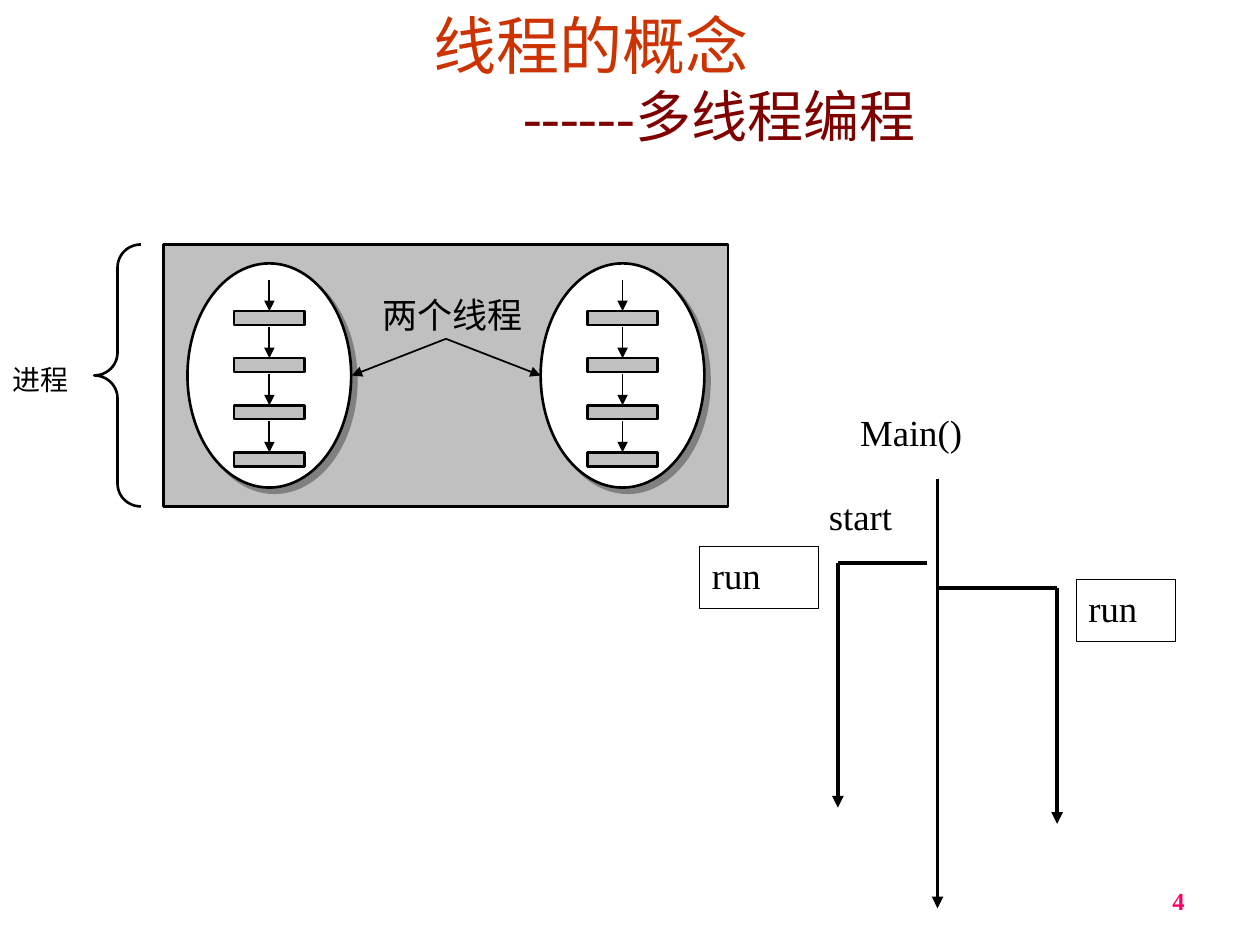
from lxml import etree
from pptx import Presentation
from pptx.dml.color import RGBColor
from pptx.enum.shapes import MSO_CONNECTOR, MSO_SHAPE
from pptx.enum.text import MSO_ANCHOR, MSO_AUTO_SIZE, PP_ALIGN
from pptx.oxml import parse_xml
from pptx.oxml.ns import qn
from pptx.util import Cm, Pt

RECT, OVAL, BRACE = MSO_SHAPE.RECTANGLE, MSO_SHAPE.OVAL, MSO_SHAPE.LEFT_BRACE
LEFT, MID, RIGHT = PP_ALIGN.LEFT, PP_ALIGN.CENTER, PP_ALIGN.RIGHT
JUST = PP_ALIGN.JUSTIFY
FONT = "Times New Roman"
HUES = {"ink": "000000", "gray": "C0C0C0", "white": "FFFFFF", "shade": "808080",
        "title": "CC3300", "sub": "800000", "page": "FF0066"}
SHADOW = (
    '<a:outerShdw xmlns:a="http://schemas.openxmlformats.org/drawingml/2006/main"'
    ' dist="53340" dir="2700000" algn="ctr" rotWithShape="0">'
    f'<a:srgbClr val="{HUES["shade"]}"/></a:outerShdw>')

deck = Presentation()
deck.slide_width, deck.slide_height = Cm(25.4), Cm(19.05)
slide = deck.slides.add_slide(deck.slide_layouts[5])
shapes = slide.shapes


def draw(kind, box, fill, width):
    shape = shapes.add_shape(kind, *[Cm(v) for v in box])
    shape.shadow.inherit = False
    if fill:
        shape.fill.solid()
        shape.fill.fore_color.rgb = RGBColor.from_string(HUES[fill])
    else:
        shape.fill.background()
    shape.line.color.rgb = RGBColor.from_string(HUES["ink"])
    shape.line.width = Pt(width)
    return shape


def link(x1, y1, x2, y2, width, arrow=True):
    line = shapes.add_connector(
        MSO_CONNECTOR.STRAIGHT, Cm(x1), Cm(y1), Cm(x2), Cm(y2))
    line.line.color.rgb = RGBColor.from_string(HUES["ink"])
    line.line.width = Pt(width)
    if arrow:
        etree.SubElement(line.line._get_or_add_ln(), qn("a:tailEnd"), type="triangle")
    etree.SubElement(line._element.spPr, qn("a:effectLst"))


# Title with an indented second line
title = shapes.title
title.left, title.top, title.width, title.height = Cm(3.51), Cm(0), Cm(16.79), Cm(3.25)
frame = title.text_frame
frame.text = "线程的概念\n------多线程编程"
frame.auto_size = MSO_AUTO_SIZE.NONE
frame.vertical_anchor = MSO_ANCHOR.TOP
looks = [(MID, 36, "title"), (LEFT, 32, "sub")]
for para, (align, size, hue) in zip(frame.paragraphs, looks):
    para.alignment = align
    font = para.runs[0].font
    font.name, font.size = FONT, Pt(size)
    font.color.rgb = RGBColor.from_string(HUES[hue])
frame.paragraphs[1]._p.get_or_add_pPr().set("marL", str(Cm(6.78)))

# Process: frame and brace
draw(RECT, (3.3, 4.93, 11.38, 5.28), "gray", 1.5)
brace = draw(BRACE, (1.9, 4.93, 0.94, 5.28), None, 1.5)
brace.adjustments[0] = 0.49

# Two threads, each with four steps
for left in (3.78, 10.9):
    oval = draw(OVAL, (left, 5.31, 3.3, 4.52), "white", 1.5)
    oval._element.spPr.find(qn("a:effectLst")).append(parse_xml(SHADOW))
    for step in range(4):
        top = 6.27 + 0.95 * step
        draw(RECT, (left + 0.94, top, 1.42, 0.28), "gray", 1.5)
        link(left + 1.65, top - 0.63, left + 1.65, top, 1)

# Pointers from the label to both threads
for end in (7.09, 10.9):
    link(8.99, 6.83, end, 7.57, 1)

# Main thread and its two branches
link(18.9, 9.65, 18.9, 18.31, 2.25)
for start, turn, top, end in [(18.69, 16.89, 11.35, 16.28), (18.9, 21.31, 11.86, 16.61)]:
    link(start, top, turn, top, 2.25, arrow=False)
    link(turn, top, turn, end, 2.25)

# Labels: text, box, size, alignment, colour, outlined
labels = [
    ("两个线程", (7.57, 5.79, 3.3, 1.02), 20, MID, "ink", False),
    ("进程", (0, 7.19, 2.36, 1.14), 16, JUST, "ink", False),
    ("Main()", (17.09, 8.13, 3.76, 1.24), 21, LEFT, "ink", False),
    ("start", (16.46, 9.83, 1.78, 1.24), 21, LEFT, "ink", False),
    ("run", (14.1, 11.02, 2.39, 1.24), 21, LEFT, "ink", True),
    ("run", (21.69, 11.68, 2.01, 1.24), 21, LEFT, "ink", True),
    ("4", (18.21, 17.65, 5.92, 1.02), 14, RIGHT, "page", False),
]
for text, box, size, align, hue, lined in labels:
    if lined:
        label = draw(RECT, box, None, 0.25)
    else:
        label = shapes.add_textbox(*[Cm(v) for v in box])
    frame = label.text_frame
    frame.text = text
    frame.word_wrap = text != "start"
    frame.vertical_anchor = MSO_ANCHOR.MIDDLE if text == "4" else MSO_ANCHOR.TOP
    if text == "两个线程":
        frame.margin_left = Cm(0.05)
    para = frame.paragraphs[0]
    para.alignment = align
    font = para.runs[0].font
    font.name, font.size, font.bold = FONT, Pt(size), text == "4"
    font.color.rgb = RGBColor.from_string(HUES[hue])

deck.save("out.pptx")
